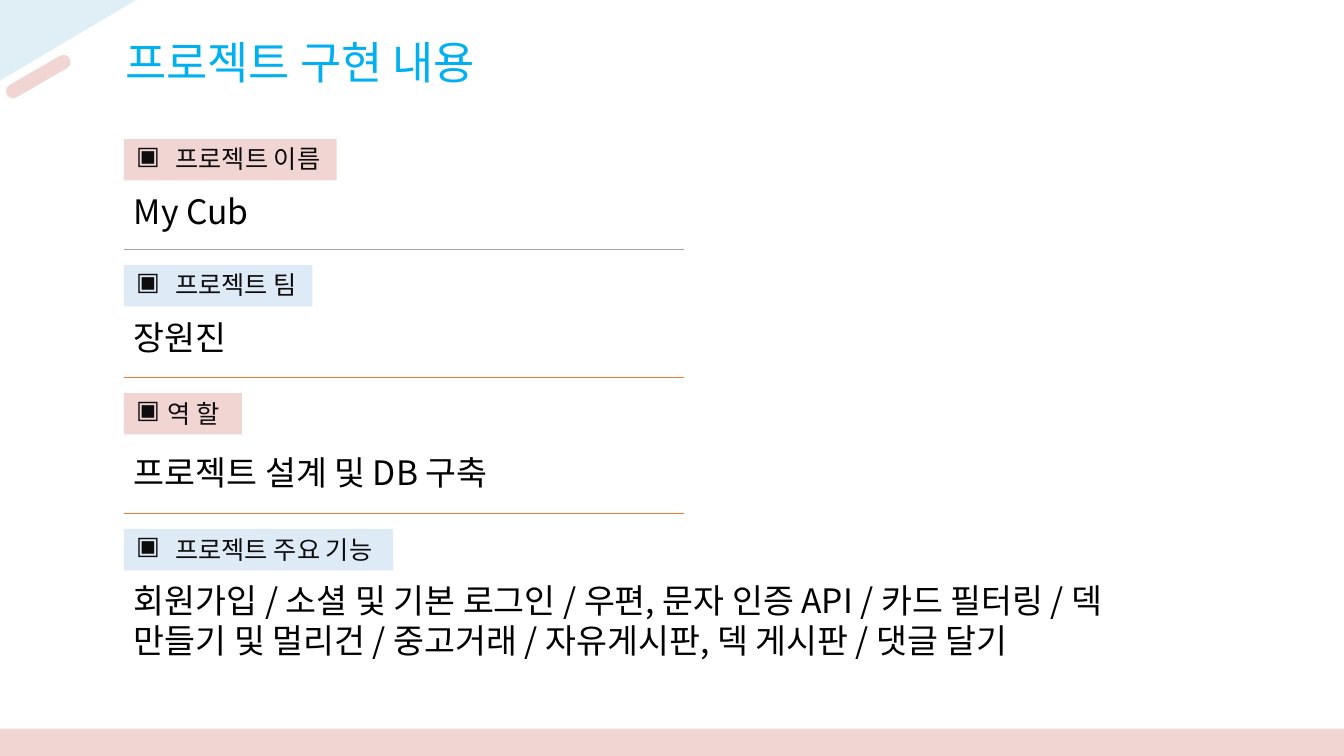
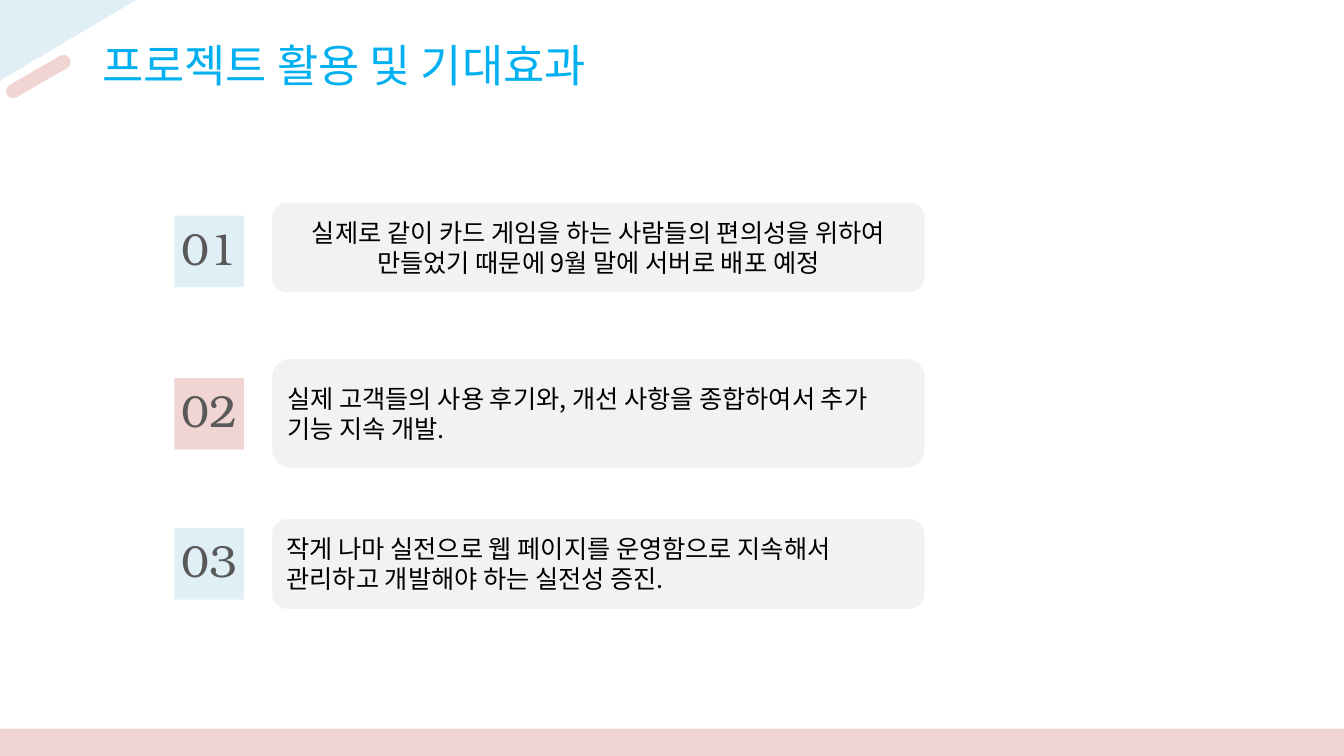
from lxml.etree import SubElement
from pptx import Presentation
from pptx.dml.color import RGBColor
from pptx.enum.shapes import MSO_CONNECTOR as Link, MSO_SHAPE as Kind
from pptx.enum.text import MSO_ANCHOR as Anchor, PP_ALIGN as Align
from pptx.oxml.ns import qn
from pptx.util import Pt

PX = 9144  # 100 px to the inch
WIDE, HIGH = 1333, 750
SANS, SERIF = "Noto Sans CJK KR", "TeX Gyre Bonum"
LEADING = 1.19

PINK = RGBColor(0xF1, 0xD5, 0xD2)
BLUE = RGBColor(0xE0, 0xEF, 0xF6)
PALE = RGBColor(0xDE, 0xEB, 0xF7)
GRAY = RGBColor(0xF2, 0xF2, 0xF2)
SKY = RGBColor(0x00, 0xB0, 0xF0)
ORANGE = RGBColor(0xED, 0x7D, 0x31)
SILVER = RGBColor(0xA5, 0xA5, 0xA5)
BLACK = RGBColor(0, 0, 0)
INK = RGBColor(0x0D, 0x0D, 0x0D)
SLATE = RGBColor(0x59, 0x59, 0x59)

LEFT, RULE = 123, 555
# label, label top, label width, label indent, fill, text, text box, rule top, rule colour
TOPICS = [
    ("프로젝트 이름", 138, 211, 39, PINK, "My Cub", (185, 408, 50), 247, SILVER),
    ("프로젝트 팀", 263, 187, 39, PALE, "장원진", (310, 408, 50), 374, ORANGE),
    ("역 할", 390, 117, 31, PINK, "프로젝트 설계 및 DB 구축", (444, 408, 50), 509, ORANGE),
    ("프로젝트 주요 기능", 525, 267, 39, PALE,
     "회원가입 / 소셜 및 기본 로그인 / 우편, 문자 인증 API / 카드 필터링 / "
     "덱 만들기 및 멀리건 / 중고거래 / 자유게시판, 덱 게시판 / 댓글 달기",
     (571, 1061, 133), None, None),
]
# number top, fill, panel top, panel height, alignment, text
GOALS = [
    (214, BLUE, 201, 89, Align.CENTER,
     "실제로 같이 카드 게임을 하는 사람들의 편의성을 위하여 만들었기 때문에 9월 말에 서버로 배포 예정"),
    (375, PINK, 356, 108, Align.LEFT,
     "실제 고객들의 사용 후기와, 개선 사항을 종합하여서 추가 기능 지속 개발."),
    (524, BLUE, 515, 89, Align.LEFT,
     "작게 나마 실전으로 웹 페이지를 운영함으로 지속해서 관리하고 개발해야 하는 실전성 증진."),
]


def scale(*sizes):
    return [size * PX for size in sizes]


def paint(shape, fill):
    shape.shadow.inherit = False
    shape.fill.solid()
    shape.fill.fore_color.rgb = fill
    shape.line.fill.background()
    return shape


def block(slide, kind, box, fill):
    return paint(slide.shapes.add_shape(kind, *scale(*box)), fill)


def write(shape, text, size, color, align=Align.LEFT, anchor=Anchor.TOP, face=SANS, wrap=True):
    frame = shape.text_frame
    frame.word_wrap = wrap
    frame.vertical_anchor = anchor
    para = frame.paragraphs[0]
    para.text = text
    para.alignment = align
    font = para.font
    font.size, font.name = Pt(size), face
    font.color.rgb = color
    if face == SANS:
        para.line_spacing = Pt(round(size * LEADING, 1))
    props = para._p.get_or_add_pPr().find(qn("a:defRPr"))
    SubElement(props, qn("a:ea")).set("typeface", face)
    return para


def note(slide, box, text, size, color, align=Align.LEFT):
    write(slide.shapes.add_textbox(*scale(*box)), text, size, color, align)


def title(slide, box, text):
    note(slide, box, text, 32, SKY, Align.CENTER)


def label(slide, box, text, fill, indent):
    """Coloured tag with a square bullet."""
    shape = block(slide, Kind.RECTANGLE, box, fill)
    para = write(shape, text, 18, INK)
    shape.text_frame.margin_left = 12 * PX
    shape.text_frame.margin_right = 0
    props = para._p.get_or_add_pPr()
    props.set("marL", str(indent * PX))
    props.set("indent", str(-indent * PX))
    mark = SubElement(props, qn("a:buChar"))
    mark.set("char", "▣")
    props.find(qn("a:defRPr")).addprevious(mark)


def rule(slide, top, color):
    line = slide.shapes.add_connector(Link.STRAIGHT, *scale(LEFT, top, LEFT + RULE, top))
    line.line.color.rgb = color
    line.line.width = Pt(0.5)
    SubElement(line._element.spPr, qn("a:effectLst"))


def adorn(slide, layout):
    """Draw the shared corner and footer band, then move them to the layout."""
    path = slide.shapes.build_freeform(0, 0, scale=PX)
    path.add_line_segments([(135, 0), (0, 80)])
    corner = paint(path.convert_to_shape(), BLUE)
    band = block(slide, Kind.RECTANGLE, (0, 723, WIDE, 27), PINK)
    bar = block(slide, Kind.ROUNDED_RECTANGLE, (2, 69, 72, 14), PINK)
    bar.adjustments[0] = 0.5
    bar.rotation = 330
    for shape in (corner, band, bar):
        layout.shapes._spTree.append(shape._element)


def content(slide):
    title(slide, (48, 30, 500, 121), "프로젝트 구현 내용")
    for name, top, width, indent, fill, text, (down, wide, high), end, color in TOPICS:
        label(slide, (LEFT, top, width, 41), name, fill, indent)
        note(slide, (LEFT, down, wide, high), text, 24, BLACK)
        if end:
            rule(slide, end, color)


def effects(slide):
    title(slide, (75, 33, 533, 121), "프로젝트 활용 및 기대효과")
    for count, (top, fill, down, high, align, text) in enumerate(GOALS, 1):
        panel = block(slide, Kind.ROUNDED_RECTANGLE, (270, down, 647, high), GRAY)
        write(panel, text, 18, BLACK, align, Anchor.MIDDLE)
        badge = block(slide, Kind.RECTANGLE, (173, top, 69, 71), fill)
        write(badge, f"{count:02}", 32, SLATE, Align.CENTER, face=SERIF, wrap=False)


def main():
    deck = Presentation()
    deck.slide_width, deck.slide_height = scale(WIDE, HIGH)
    blank = deck.slide_layouts[6]
    first, second = [deck.slides.add_slide(blank) for _ in range(2)]
    adorn(first, blank)
    content(first)
    effects(second)
    deck.save("out.pptx")


if __name__ == "__main__":
    main()
